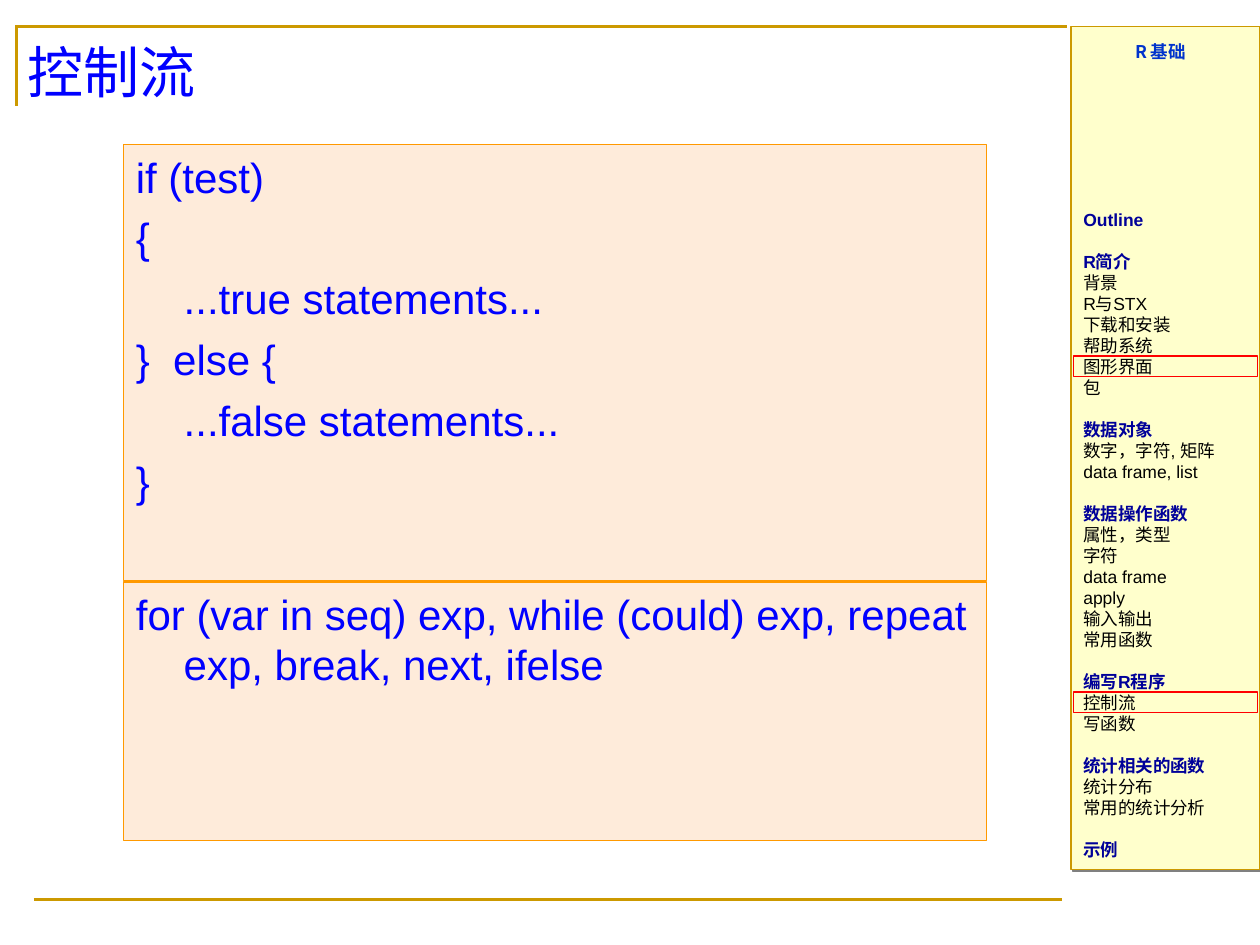
from lxml import etree
from pptx import Presentation
from pptx import util as u
from pptx.dml.color import RGBColor
from pptx.enum import shapes, text
from pptx.oxml import ns

GOLD = RGBColor(0xCC, 0x99, 0x00)
CREAM = RGBColor(0xFF, 0xFF, 0xCC)
PEACH = RGBColor(0xFE, 0xEB, 0xDA)
ORANGE = RGBColor(0xFF, 0x99, 0x00)
BLUE = RGBColor(0x00, 0x00, 0xFF)
ROYAL = RGBColor(0x00, 0x33, 0xCC)
NAVY = RGBColor(0x00, 0x00, 0x99)
BLACK = RGBColor(0x00, 0x00, 0x00)
RED = RGBColor(0xFF, 0x00, 0x00)

LATIN = "Arial"
CHINESE = "Noto Sans CJK SC"

SIDEBAR_LEFT, SIDEBAR_WIDTH = 8.5, 1.5
OUTLINE_TOP, ROW_POINTS, INSET = 1.61, 12, 0.05
CODE_LEFT, CODE_WIDTH, CODE_INDENT = 0.98, 6.85, 0.38

OUTLINE = [
    ("Outline", []),
    ("R简介", ["背景", "R与STX", "下载和安装", "帮助系统", "图形界面", "包"]),
    ("数据对象", ["数字，字符, 矩阵", "data frame, list"]),
    ("数据操作函数", ["属性，类型", "字符", "data frame", "apply", "输入输出", "常用函数"]),
    ("编写R程序", ["控制流", "写函数"]),
    ("统计相关的函数", ["统计分布", "常用的统计分析"]),
    ("示例", []),
]
HIGHLIGHTS = ["图形界面", "控制流"]

BRANCH_CODE = [
    "if (test)",
    "{",
    "\t...true statements...",
    "}  else {",
    "\t...false statements...",
    "}",
]
LOOP_CODE = ["for (var in seq) exp, while (could) exp, repeat exp, break, next, ifelse"]


def inches(*lengths):
    return [u.Inches(length) for length in lengths]


def style(paragraph, size, color, bold=False, latin=LATIN):
    for run in paragraph.runs:
        run.font.size = u.Pt(size)
        run.font.bold = bold
        run.font.name = latin
        run.font.color.rgb = color
        east_asian = etree.SubElement(run.font._element, ns.qn("a:ea"))
        east_asian.set("typeface", CHINESE)


def add_panel(slide, box, line, fill=None):
    panel = slide.shapes.add_shape(shapes.MSO_SHAPE.RECTANGLE, *inches(*box))
    panel.shadow.inherit = False
    if fill is None:
        panel.fill.background()
    else:
        panel.fill.solid()
        panel.fill.fore_color.rgb = fill
    panel.line.color.rgb = line
    panel.line.width = u.Pt(0.75)
    return panel


def cast_shadow(panel):
    effects = panel._element.spPr.find(ns.qn("a:effectLst"))
    shadow = etree.SubElement(effects, ns.qn("a:outerShdw"),
                              dist=str(u.Pt(1.4)), dir="2700000", algn="ctr", rotWithShape="0")
    etree.SubElement(shadow, ns.qn("a:srgbClr"), val="808080")


def add_rule(slide, start, end):
    rule = slide.shapes.add_connector(shapes.MSO_CONNECTOR.STRAIGHT, *inches(*start, *end))
    rule.line.color.rgb = GOLD
    rule.line.width = u.Pt(1.5)
    etree.SubElement(rule._element.spPr, ns.qn("a:effectLst"))


def add_title(slide):
    title = slide.shapes.title
    title.left, title.top, title.width, title.height = inches(0.12, 0.21, 8.35, 0.71)
    title.text_frame.text = "控制流"
    title.text_frame.vertical_anchor = text.MSO_ANCHOR.MIDDLE
    heading = title.text_frame.paragraphs[0]
    heading.alignment = text.PP_ALIGN.LEFT
    style(heading, 32, BLUE)


def add_code(slide, top, height, lines):
    panel = add_panel(slide, (CODE_LEFT, top, CODE_WIDTH, height), ORANGE, PEACH)
    frame = panel.text_frame
    frame.vertical_anchor = text.MSO_ANCHOR.TOP
    frame.text = "\n".join(lines)
    for index, paragraph in enumerate(frame.paragraphs):
        paragraph.alignment = text.PP_ALIGN.LEFT
        properties = paragraph._p.get_or_add_pPr()
        properties.set("marL", str(u.Inches(CODE_INDENT)))
        properties.set("indent", str(-u.Inches(CODE_INDENT)))
        if index:
            paragraph.space_before = u.Pt(6)
        style(paragraph, 24, BLUE)


def add_sidebar(slide):
    cast_shadow(add_panel(slide, (SIDEBAR_LEFT, 0.21, SIDEBAR_WIDTH, 6.69), GOLD, CREAM))
    caption = slide.shapes.add_textbox(*inches(SIDEBAR_LEFT, 0.28, 1.42, 0.27))
    caption.text_frame.word_wrap = True
    caption.text_frame.text = "R 基础"
    course = caption.text_frame.paragraphs[0]
    course.alignment = text.PP_ALIGN.CENTER
    style(course, 10, ROYAL, True, CHINESE)


def add_outline(slide):
    outline = slide.shapes.add_textbox(*inches(SIDEBAR_LEFT, OUTLINE_TOP, SIDEBAR_WIDTH, 5.29))
    frame = outline.text_frame
    frame.word_wrap = False
    rows, row = {}, 0
    for section, topics in OUTLINE:
        for entry in [section, *topics]:
            is_section = entry == section
            paragraph = frame.add_paragraph() if rows else frame.paragraphs[0]
            paragraph.text = entry
            paragraph.line_spacing = u.Pt(ROW_POINTS)
            if is_section and rows:
                paragraph.space_before = u.Pt(ROW_POINTS)
                row += 1
            style(paragraph, 10, NAVY if is_section else BLACK, is_section)
            rows[entry] = row
            row += 1
    return rows


def add_highlight(slide, row):
    top = OUTLINE_TOP + INSET + row * ROW_POINTS / 72
    add_panel(slide, (SIDEBAR_LEFT + 0.02, top, SIDEBAR_WIDTH - 0.04, 0.16), RED)


def main():
    deck = Presentation()
    deck.slide_width, deck.slide_height = inches(10, 7.5)
    slide = deck.slides.add_slide(deck.slide_layouts[5])
    add_sidebar(slide)
    rows = add_outline(slide)
    add_rule(slide, (0.13, 0.21), (0.13, 0.84))
    add_rule(slide, (0.12, 0.21), (8.47, 0.21))
    add_rule(slide, (0.27, 7.14), (8.43, 7.14))
    add_title(slide)
    add_code(slide, 1.15, 3.46, BRANCH_CODE)
    add_code(slide, 4.62, 2.05, LOOP_CODE)
    for topic in HIGHLIGHTS:
        add_highlight(slide, rows[topic])
    deck.save("out.pptx")


if __name__ == "__main__":
    main()
